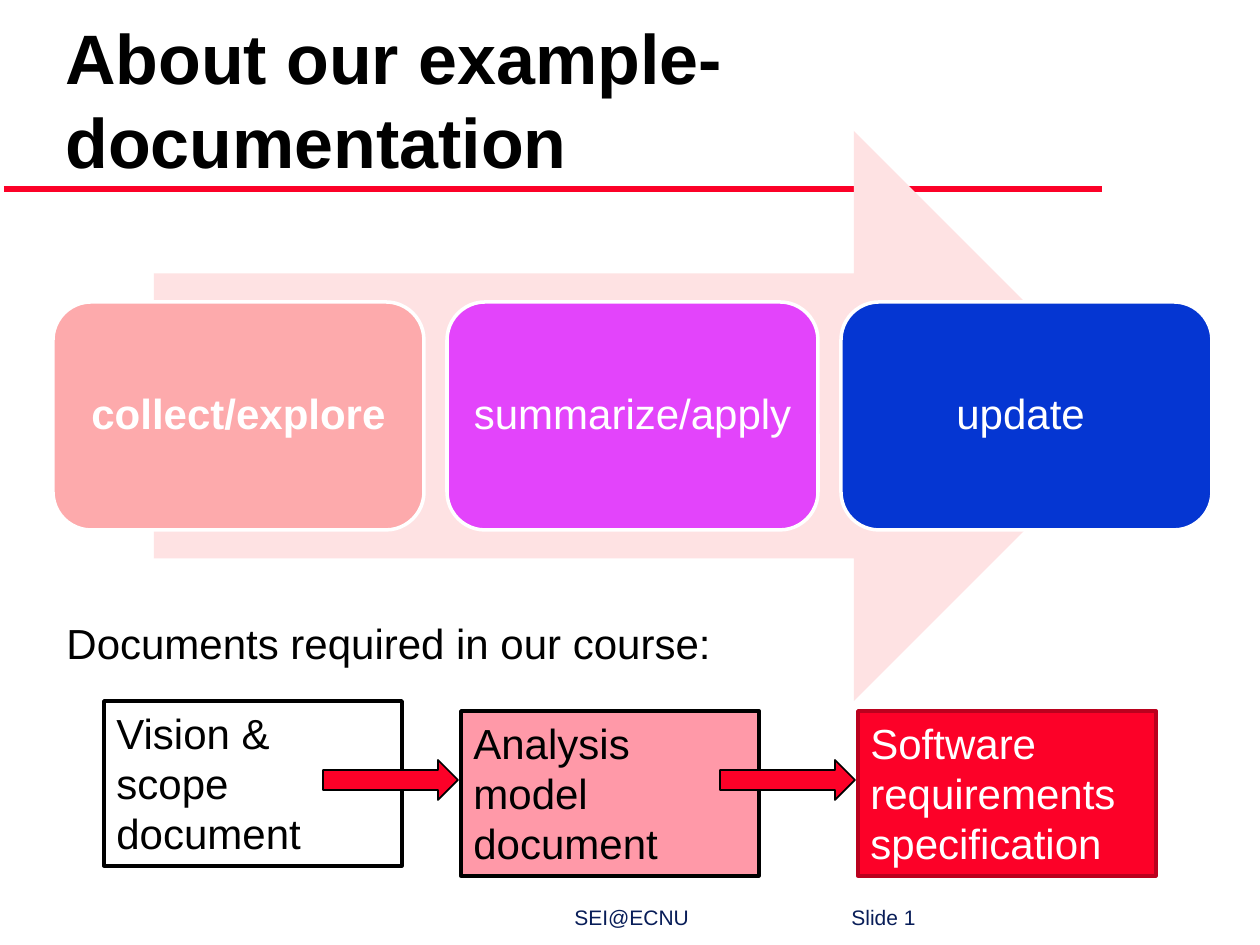
"""Build the slide on example documentation: three process steps and three documents."""
from dataclasses import dataclass

from lxml.etree import SubElement
from pptx import Presentation
from pptx.dml.color import RGBColor
from pptx.enum.shapes import MSO_CONNECTOR, MSO_SHAPE as Preset
from pptx.enum.text import MSO_ANCHOR as Anchor, PP_ALIGN as Align
from pptx.oxml.ns import qn
from pptx.util import Emu, Pt


@dataclass(frozen=True)
class Theme:
    font: str = "Arial"
    title_size: int = 40
    body_size: int = 24
    footer_size: int = 12
    black: str = "000000"
    white: str = "FFFFFF"
    navy: str = "081D58"
    red: str = "FC0128"
    dark_red: str = "BA011E"
    rose: str = "FF99A8"
    blush: str = "FEE2E3"
    salmon: str = "FDAAAC"
    violet: str = "E344FB"
    blue: str = "0536D2"


THEME = Theme()
TITLE = "About our example-documentation"
SUBTITLE = "Documents required in our course:"
FOOTER = [("SEI@ECNU", 484), ("Slide 1", 761)]
STEPS = [
    ("collect/explore", THEME.salmon, True),
    ("summarize/apply", THEME.violet, False),
    ("update ", THEME.blue, False),
]
DOCUMENTS = [
    ("Vision & scope document", 104, 701, THEME.white, THEME.black, THEME.black),
    ("Analysis model document", 461, 711, THEME.rose, THEME.black, THEME.black),
    ("Software requirements specification", 858, 711, THEME.red, THEME.dark_red, THEME.white),
]
STEP_LEFT, STEP_TOP, STEP_WIDTH, STEP_HEIGHT, STEP_PITCH = 53, 302, 371, 228, 394
DOC_WIDTH, DOC_HEIGHT = 298, 165
LINK_WIDTH, LINK_HEIGHT, LINK_TOP, LINK_GAP = 135, 40, 760, 3


def px(length):
    return Emu(round(length * 914400 / 126))


def rgb(color):
    return RGBColor.from_string(color)


def write(shape, text, size, color, bold=False, anchor=Anchor.TOP, align=Align.LEFT):
    frame = shape.text_frame
    frame.word_wrap = True
    frame.vertical_anchor = anchor
    frame.text = text
    paragraph = frame.paragraphs[0]
    paragraph.alignment = align
    font = paragraph.font
    font.name, font.size, font.bold = THEME.font, Pt(size), bold
    font.color.rgb = rgb(color)
    return paragraph


def add_text(slide, box, *args, **style):
    return write(slide.shapes.add_textbox(*map(px, box)), *args, **style)


def add_block(slide, preset, box, fill, line=None, weight=2):
    block = slide.shapes.add_shape(preset, *map(px, box))
    block.shadow.inherit = False
    block.fill.solid()
    block.fill.fore_color.rgb = rgb(fill)
    if line:
        block.line.color.rgb = rgb(line)
        block.line.width = Pt(weight)
    else:
        block.line.fill.background()
    return block


def add_rule(slide):
    rule = slide.shapes.add_connector(MSO_CONNECTOR.STRAIGHT, px(4), px(189), px(1102), px(189))
    rule.line.color.rgb = rgb(THEME.red)
    rule.line.width = Pt(4)
    SubElement(rule._element.spPr, qn("a:effectLst"))


def add_footer(slide):
    text = "".join("\t" + part for part, _ in FOOTER)
    footer = add_text(slide, (78, 898, 1139, 38), text, THEME.footer_size, THEME.navy)
    properties = footer._p.get_or_add_pPr()
    stops = SubElement(properties, qn("a:tabLst"))
    properties.insert(0, stops)
    for _, position in FOOTER:
        SubElement(stops, qn("a:tab"), pos=str(px(position)), algn="l")


def add_steps(slide):
    add_block(slide, Preset.RIGHT_ARROW, (154, 131, 985, 570), THEME.blush)
    for index, (label, fill, bold) in enumerate(STEPS):
        box = (STEP_LEFT + index * STEP_PITCH, STEP_TOP, STEP_WIDTH, STEP_HEIGHT)
        step = add_block(slide, Preset.ROUNDED_RECTANGLE, box, fill, THEME.white)
        paragraph = write(step, label, THEME.body_size, THEME.white, bold, Anchor.MIDDLE, Align.CENTER)
        paragraph.line_spacing = 0.9


def add_documents(slide):
    for label, left, top, fill, line, color in DOCUMENTS:
        document = add_block(slide, Preset.RECTANGLE, (left, top, DOC_WIDTH, DOC_HEIGHT), fill, line)
        write(document, label, THEME.body_size, color)
    for _, target, *_ in DOCUMENTS[1:]:
        box = (target - LINK_GAP - LINK_WIDTH, LINK_TOP, LINK_WIDTH, LINK_HEIGHT)
        add_block(slide, Preset.RIGHT_ARROW, box, THEME.red, THEME.black, 1)


def main():
    deck = Presentation()
    deck.slide_width, deck.slide_height = px(1260), px(945)
    slide = deck.slides.add_slide(deck.slide_layouts[6])
    add_rule(slide)
    add_footer(slide)
    add_text(slide, (53, 37, 1075, 152), TITLE, THEME.title_size, THEME.black, bold=True, anchor=Anchor.BOTTOM)
    add_steps(slide)
    add_documents(slide)
    add_text(slide, (54, 611, 824, 64), SUBTITLE, THEME.body_size, THEME.black)
    deck.save("out.pptx")


if __name__ == "__main__":
    main()
